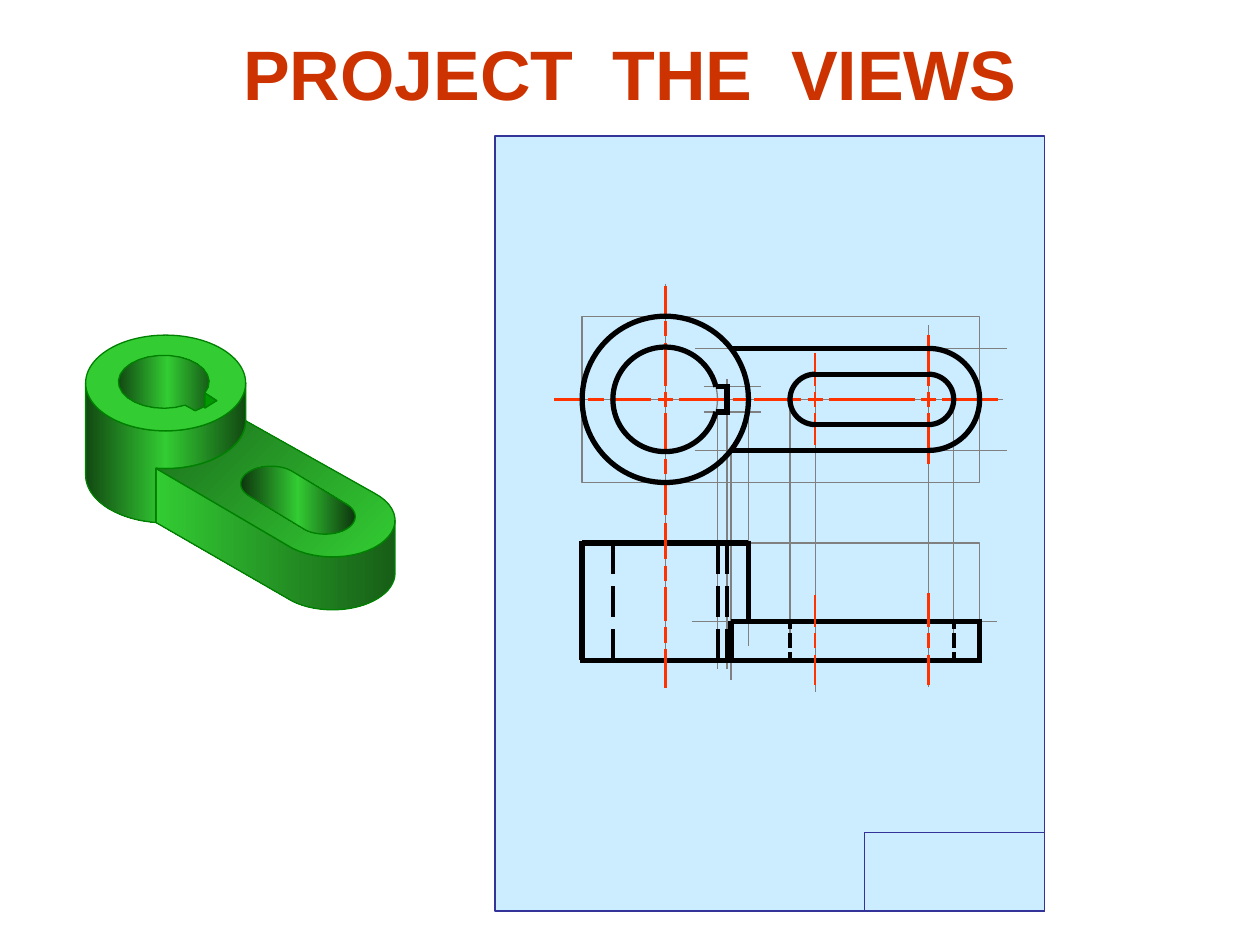
"""Build the slide "PROJECT THE VIEWS": a solid part beside its plan and elevation, on a grid of 1000 by 750 units."""
import math

import lxml.etree
import pptx
import pptx.dml.color
import pptx.enum.dml
import pptx.enum.shapes
import pptx.enum.text
import pptx.oxml.ns
import pptx.util

COLORS = {
    "title": "CC3300", "sheet": "CCECFF", "frame": "333399", "guide": "808080",
    "outline": "000000", "axis": "FF3300", "edge": "008000", "green": "33CC33",
    "key": "009900", "side": "175E17", "top": "1C711C", "round": "124912", "slot": "0D350D",
}
PENS = {
    "guide": ("guide", 0.75, None),
    "outline": ("outline", 3, None),
    "hidden": ("outline", 2.25, pptx.enum.dml.MSO_LINE.LONG_DASH),
    "short": ("outline", 2.25, None),
    "axis": ("axis", 1.5, None),
    "frame": ("frame", 0.75, None),
    "edge": ("edge", 0.75, None),
}
UNIT = 9144
KINDS = pptx.enum.shapes.MSO_SHAPE

TITLE = ["PROJECT", "THE", "VIEWS"]
TITLE_BOX = (0, 19, 1000, 77)
TITLE_FONT = {"name": "Arial", "size": pptx.util.Pt(40), "bold": True}
WORD_GAP = 1110

SHEET_BOX, STAMP_BOX = (393, 108, 436, 615), (686, 661, 143, 62)
RING_X, SLOT_X, END_X, AXIS_Y = 528, 647, 737, 317
RING_R, BORE_R, ARM_R, SLOT_R, KEY_HALF = 66, 41.5, 40.5, 20, 10
TOP_Y, STEP_Y, BASE_Y = 431, 493, 524
LEFT, RING_RIGHT, RIGHT = RING_X - RING_R, RING_X + RING_R, END_X + ARM_R
BORE_LEFT, BORE_RIGHT, KEY_RIGHT = RING_X - BORE_R, RING_X + BORE_R, RING_X + 49
SLOT_LEFT, SLOT_RIGHT = SLOT_X - SLOT_R, END_X + SLOT_R
ARM_MEET = RING_X + math.sqrt(RING_R ** 2 - ARM_R ** 2)
KEY_MEET = RING_X + math.sqrt(BORE_R ** 2 - KEY_HALF ** 2)
KEY_ANGLE = math.degrees(math.asin(KEY_HALF / BORE_R))

DISC = (131.5, 304, 63.5, 38)
BORE = (130, 303, 36, 21)
ARM_END = (264, 413, 49.5, 29)
SLOT_START, SLOT_END = (215, 384, 24, 14), (258, 410, 24, 14)
DISC_HEIGHT, JOIN_DROP, ARM_HEIGHT = 73, 30, 42
JOIN_ANGLE, TANGENT_BACK, TANGENT_FRONT = 97, -48, 130
NOTCH_START, NOTCH_END = 25, 62
NOTCH_FLOOR, NOTCH_TIP = (155, 326), (172, 318)


def sweep(ellipse, start, end, drop=0, steps=24):
    """Return points along an ellipse, angles clockwise in degrees, moved down by drop."""
    x, y, across, down = ellipse
    angles = [math.radians(start + (end - start) * step / steps) for step in range(steps + 1)]
    return [(x + across * math.cos(a), y + drop + down * math.sin(a)) for a in angles]


def dashes(start, end, marks, half=6, gap=5):
    """Centre a short dash on each mark and fill the rest with long dashes."""
    cuts = [start]
    for mark in marks:
        cuts += [mark - half - gap, mark - half, mark + half, mark + half + gap]
    cuts.append(end)
    return list(zip(cuts[::2], cuts[1::2]))


def around(x, radius):
    return x - radius, AXIS_Y - radius, 2 * radius, 2 * radius


def rgb(name):
    return pptx.dml.color.RGBColor.from_string(COLORS[name])


def grid(values):
    return [round(value * UNIT) for value in values]


def stroke(figure, pen):
    color, width, dash = PENS[pen]
    figure.line.color.rgb = rgb(color)
    for attribute, value in {"width": pptx.util.Pt(width), "dash_style": dash}.items():
        setattr(figure.line, attribute, value)


def paint(figure, colors, angle=180):
    figure.shadow.inherit = False
    if not colors:
        figure.fill.background()
    elif len(colors) == 1:
        figure.fill.solid()
        figure.fill.fore_color.rgb = rgb(colors[0])
    else:
        figure.fill.gradient()
        figure.fill.gradient_angle = angle
        stops = next(figure.element.spPr.iter(pptx.oxml.ns.qn("a:gsLst")))
        for stop in list(stops):
            stops.remove(stop)
        for index, color in enumerate(colors):
            stop = lxml.etree.SubElement(stops, pptx.oxml.ns.qn("a:gs"),
                                         pos=str(100000 * index // (len(colors) - 1)))
            lxml.etree.SubElement(stop, pptx.oxml.ns.qn("a:srgbClr"), val=COLORS[color])


def add_figure(shapes, kind, box, pen, colors=()):
    figure = shapes.add_shape(kind, *grid(box))
    paint(figure, colors)
    stroke(figure, pen)
    return figure


def add_arc(shapes, x, radius, start, end, pen="outline"):
    arc = add_figure(shapes, KINDS.ARC, around(x, radius), pen)
    for index, degrees in enumerate((start, end)):
        arc.adjustments[index] = degrees % 360 * 0.6


def add_face(shapes, points, colors, angle=180):
    corners = [grid(point) for point in points]
    outline = shapes.build_freeform(*corners[0])
    outline.add_line_segments(corners[1:], close=True)
    face = outline.convert_to_shape()
    paint(face, colors, angle)
    stroke(face, "edge")


def add_line(shapes, ends, pen):
    line = shapes.add_connector(pptx.enum.shapes.MSO_CONNECTOR.STRAIGHT, *grid(ends))
    stroke(line, pen)
    lxml.etree.SubElement(line.element.spPr, pptx.oxml.ns.qn("a:effectLst"))


def add_lines(shapes, pen, uprights=(), levels=()):
    for x, start, end in uprights:
        add_line(shapes, (x, start, x, end), pen)
    for y, start, end in levels:
        add_line(shapes, (start, y, end, y), pen)


def add_title(shapes):
    frame = shapes.add_textbox(*grid(TITLE_BOX)).text_frame
    frame.word_wrap = True
    frame.auto_size = pptx.enum.text.MSO_AUTO_SIZE.SHAPE_TO_FIT_TEXT
    heading = frame.paragraphs[0]
    heading.alignment = pptx.enum.text.PP_ALIGN.CENTER
    pieces = [piece for word in TITLE for piece in (" ", word)][1:]
    for piece in pieces:
        run = heading.add_run()
        run.text = piece
        for attribute, value in TITLE_FONT.items():
            setattr(run.font, attribute, value)
        run.font.color.rgb = rgb("title")
        if piece == " ":
            run.font._element.set("spc", str(WORD_GAP))


def add_part(shapes):
    join = sweep(DISC, JOIN_ANGLE, 0, JOIN_DROP)
    corner = join[0]
    foot = sweep(DISC, JOIN_ANGLE, 180, DISC_HEIGHT)
    arm_side = ([corner] + sweep(ARM_END, TANGENT_FRONT, 0)
                + sweep(ARM_END, 0, TANGENT_FRONT, ARM_HEIGHT) + [foot[0]])
    wall = sweep(DISC, 180, 0) + join[::-1] + foot
    arm_top = join + sweep(ARM_END, TANGENT_BACK, TANGENT_FRONT)
    slot = (sweep(SLOT_START, TANGENT_FRONT, 360 + TANGENT_BACK)
            + sweep(SLOT_END, TANGENT_BACK, TANGENT_FRONT))
    bore = sweep(BORE, NOTCH_START, NOTCH_END - 360) + [NOTCH_FLOOR, NOTCH_TIP]
    notch = bore[0]
    add_face(shapes, arm_side, ("side", "green"))
    add_face(shapes, wall, ("round", "green", "round"))
    add_face(shapes, arm_top, ("green", "top"), 135)
    add_face(shapes, slot, ("slot", "green", "slot"))
    x, y, across, down = DISC
    add_figure(shapes, KINDS.OVAL, (x - across, y - down, 2 * across, 2 * down), "edge", ("green",))
    add_face(shapes, bore, ("round", "green", "round"))
    add_face(shapes, [notch, (notch[0], notch[1] + 12), NOTCH_TIP], ("key",))


def add_guides(shapes):
    for top, bottom in ((TOP_Y, BASE_Y), (AXIS_Y - RING_R, AXIS_Y + RING_R)):
        add_figure(shapes, KINDS.RECTANGLE, (LEFT, top, RIGHT - LEFT, bottom - top), "guide")
    add_arc(shapes, RING_X, BORE_R, -37, 44, "guide")
    centres = [(RING_X, 225, 535), (SLOT_X, 285, 549), (END_X, 258, 545)]
    dropped = [(BORE_RIGHT, AXIS_Y + KEY_HALF, 531), (KEY_RIGHT, 301, 531),
               (ARM_MEET, AXIS_Y + ARM_R, 540), (RING_RIGHT, AXIS_Y, 513)]
    slot_ends = [(x, 325, 504) for x in (SLOT_LEFT, SLOT_RIGHT)]
    levels = [(AXIS_Y, 441, 796), (STEP_Y, 549, 791)]
    for side in (-1, 1):
        levels += [(AXIS_Y + side * ARM_R, 552, 799), (AXIS_Y + side * KEY_HALF, 559, 604)]
    add_lines(shapes, "guide", centres + dropped + slot_ends, levels)


def add_elevation(shapes):
    add_lines(shapes, "outline",
              [(LEFT, TOP_Y - 2, BASE_Y), (RING_RIGHT, TOP_Y - 2, STEP_Y),
               (ARM_MEET, STEP_Y, BASE_Y), (RIGHT, STEP_Y - 2, BASE_Y)],
              [(TOP_Y, LEFT, RING_RIGHT), (STEP_Y, ARM_MEET, RIGHT), (BASE_Y, LEFT - 2, RIGHT + 2)])
    add_lines(shapes, "hidden", [(x, TOP_Y, BASE_Y) for x in (BORE_LEFT, BORE_RIGHT, KEY_RIGHT)])
    slot_dashes = dashes(STEP_Y, BASE_Y, [(STEP_Y + BASE_Y) / 2], gap=3)
    add_lines(shapes, "short", [(x, *dash) for x in (SLOT_LEFT, SLOT_RIGHT) for dash in slot_dashes])


def add_axes(shapes):
    arm_mark = (STEP_Y + BASE_Y) / 2
    runs = [(RING_X, 227, 409, [261, AXIS_Y, 370]), (RING_X, 415, 546, [455, 504]),
            (SLOT_X, 280, 353, [AXIS_Y]), (SLOT_X, 472, 544, [arm_mark]),
            (END_X, 266, 368, [AXIS_Y]), (END_X, 471, 544, [arm_mark])]
    uprights = [(x, *dash) for x, start, end, marks in runs for dash in dashes(start, end, marks)]
    marks = [473, RING_X, (RING_X + SLOT_X) / 2, SLOT_X, END_X]
    add_lines(shapes, "axis", uprights, [(AXIS_Y, *dash) for dash in dashes(440, 792, marks)])


def add_plan(shapes):
    add_lines(shapes, "outline", [(KEY_RIGHT, AXIS_Y - KEY_HALF, AXIS_Y + KEY_HALF)])
    for side in (-1, 1):
        add_lines(shapes, "outline", levels=[
            (AXIS_Y + side * ARM_R, ARM_MEET, END_X),
            (AXIS_Y + side * SLOT_R, SLOT_X, END_X),
            (AXIS_Y + side * KEY_HALF, KEY_MEET, KEY_RIGHT + 2)])
    add_arc(shapes, RING_X, BORE_R, KEY_ANGLE, -KEY_ANGLE)
    add_arc(shapes, SLOT_X, SLOT_R, 90, 270)
    for radius in (ARM_R, SLOT_R):
        add_arc(shapes, END_X, radius, 270, 90)
    add_figure(shapes, KINDS.OVAL, around(RING_X, RING_R), "outline")


def main():
    deck = pptx.Presentation()
    deck.slide_width, deck.slide_height = grid((1000, 750))
    shapes = deck.slides.add_slide(deck.slide_layouts[6]).shapes
    add_part(shapes.add_group_shape().shapes)
    add_title(shapes)
    sheet = shapes.add_group_shape().shapes
    add_figure(sheet, KINDS.RECTANGLE, SHEET_BOX, "frame", ("sheet",))
    add_figure(sheet, KINDS.RECTANGLE, STAMP_BOX, "frame")
    for add_view in (add_guides, add_elevation, add_axes, add_plan):
        add_view(shapes)
    deck.save("out.pptx")


if __name__ == "__main__":
    main()
